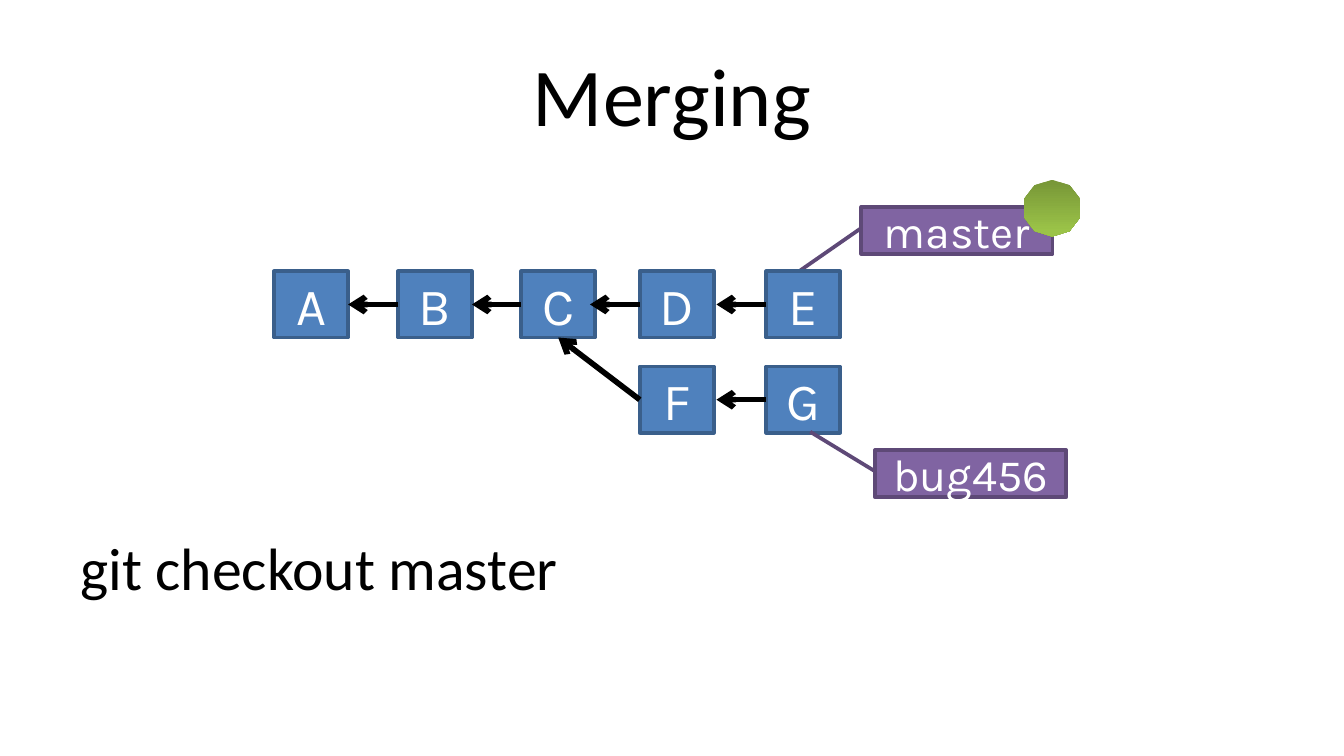
from lxml.etree import SubElement
from pptx import Presentation
from pptx.dml.color import RGBColor
from pptx.enum.shapes import MSO_CONNECTOR, MSO_SHAPE
from pptx.enum.text import MSO_ANCHOR, PP_ALIGN
from pptx.oxml.ns import qn
from pptx.util import Cm, Pt

COLORS = {"black": "000000", "white": "FFFFFF",
          "commit": "4F81BD", "commit_line": "3A5F8B",
          "branch": "8064A2", "branch_line": "5E4977",
          "head_top": "779637", "head_bottom": "9BC348"}
TOP, LEFT, BOTTOM, RIGHT = range(4)
ARROW = 0.94  # length of a horizontal parent arrow, cm


def rgb(name):
    return RGBColor.from_string(COLORS[name])


class Deck:
    """Holds the style and the current slide; lengths are in cm."""

    FORMATS = {
        "title": {"size": Pt(44), "name": "Calibri"},
        "command": {"size": Pt(32), "name": "Calibri"},
        "commit": {"size": Pt(28), "name": "Karla"},
        "branch": {"size": Pt(24), "name": "Karla"},
    }

    def __init__(self, width, height):
        self.prs = Presentation()
        self.prs.slide_width, self.prs.slide_height = Cm(width), Cm(height)
        self.s = self.prs.slides.add_slide(self.prs.slide_layouts[5])

    def set_text(self, sp, text, style, color, align=PP_ALIGN.CENTER, anchor=MSO_ANCHOR.MIDDLE):
        tf = sp.text_frame
        tf.word_wrap = True
        tf.vertical_anchor = anchor
        p = tf.paragraphs[0]
        p.alignment = align
        r = p.add_run()
        r.text = text
        for key, value in self.FORMATS[style].items():
            setattr(r.font, key, value)
        r.font.color.rgb = rgb(color)

    def title(self, text, x, y, w, h):
        sp = self.s.shapes.title
        sp.left, sp.top, sp.width, sp.height = map(Cm, (x, y, w, h))
        self.set_text(sp, text, "title", "black")

    def command(self, text, x, y, w, h):
        sp = self.s.shapes.add_textbox(*map(Cm, (x, y, w, h)))
        self.set_text(sp, text, "command", "black", PP_ALIGN.LEFT, MSO_ANCHOR.TOP)

    def box(self, kind, text, style, x, y, w, h):
        sp = self.s.shapes.add_shape(kind, *map(Cm, (x, y, w, h)))
        sp.shadow.inherit = False
        sp.fill.solid()
        sp.fill.fore_color.rgb = rgb(style)
        sp.line.color.rgb = rgb(style + "_line")
        sp.line.width = Pt(2)
        self.set_text(sp, text, style, "white")
        return sp

    def commit(self, text, x, y):
        return self.box(MSO_SHAPE.RECTANGLE, text, "commit", x, y, 1.4, 1.25)

    def branch(self, text, x, y, tip_y, tip_x):
        sp = self.box(MSO_SHAPE.LINE_CALLOUT_1, text, "branch", x, y, 3.61, 0.89)
        for i, value in enumerate((0.45, 0, tip_y, tip_x)):
            sp.adjustments[i] = value

    def arrow(self, child, parent, side=None):
        """Point from the child's left side to the parent, joined if a side is given."""
        x, y = child.left, child.top + child.height // 2
        c = self.s.shapes.add_connector(MSO_CONNECTOR.STRAIGHT, x, y, x - Cm(ARROW), y)
        c.begin_connect(child, LEFT)
        if side is not None:
            c.end_connect(parent, side)
        c.line.color.rgb = rgb("black")
        c.line.width = Pt(3)
        SubElement(c.line._get_or_add_ln(), qn("a:tailEnd"), type="arrow")
        SubElement(c._element.spPr, qn("a:effectLst"))

    def head_marker(self, x, y, w, h):
        sp = self.s.shapes.add_shape(MSO_SHAPE.STAR_5_POINT, *map(Cm, (x, y, w, h)))
        sp.adjustments[0] = 0.5
        sp.shadow.inherit = False
        sp.line.fill.background()
        sp.fill.gradient()
        sp.fill.gradient_angle = 270
        for i, name in enumerate(("head_top", "head_bottom")):
            stop = sp.fill.gradient_stops[i]
            stop.position = i
            stop.color.rgb = rgb(name)


def main():
    deck = Deck(25.4, 14.29)
    deck.title("Merging", 1.27, 0.58, 22.86, 2.39)
    deck.command("git checkout master", 1.27, 9.91, 22.86, 2.87)

    # Commits, with the master label behind them
    deck.branch("master", 16.28, 3.91, 1.38, -0.33)
    columns = (5.18, 7.52, 9.85, 12.09, 14.48)
    rows = {5.13: zip("ABCDE", columns), 6.93: zip("FG", columns[3:])}
    commits = {name: deck.commit(name, x, y)
               for y, row in rows.items() for name, x in row}

    # Arrows from each commit to its parent
    for child, parent, side in (("B", "A", RIGHT), ("C", "B", RIGHT), ("D", "C", None),
                                ("E", "D", None), ("F", "C", BOTTOM), ("G", "F", None)):
        deck.arrow(commits[child], commits[parent], side)

    # Bug branch and the marker of the current branch
    deck.branch("bug456", 16.54, 8.51, -0.39, -0.34)
    deck.head_marker(19.35, 3.4, 1.07, 0.97)
    deck.prs.save("out.pptx")


if __name__ == "__main__":
    main()
